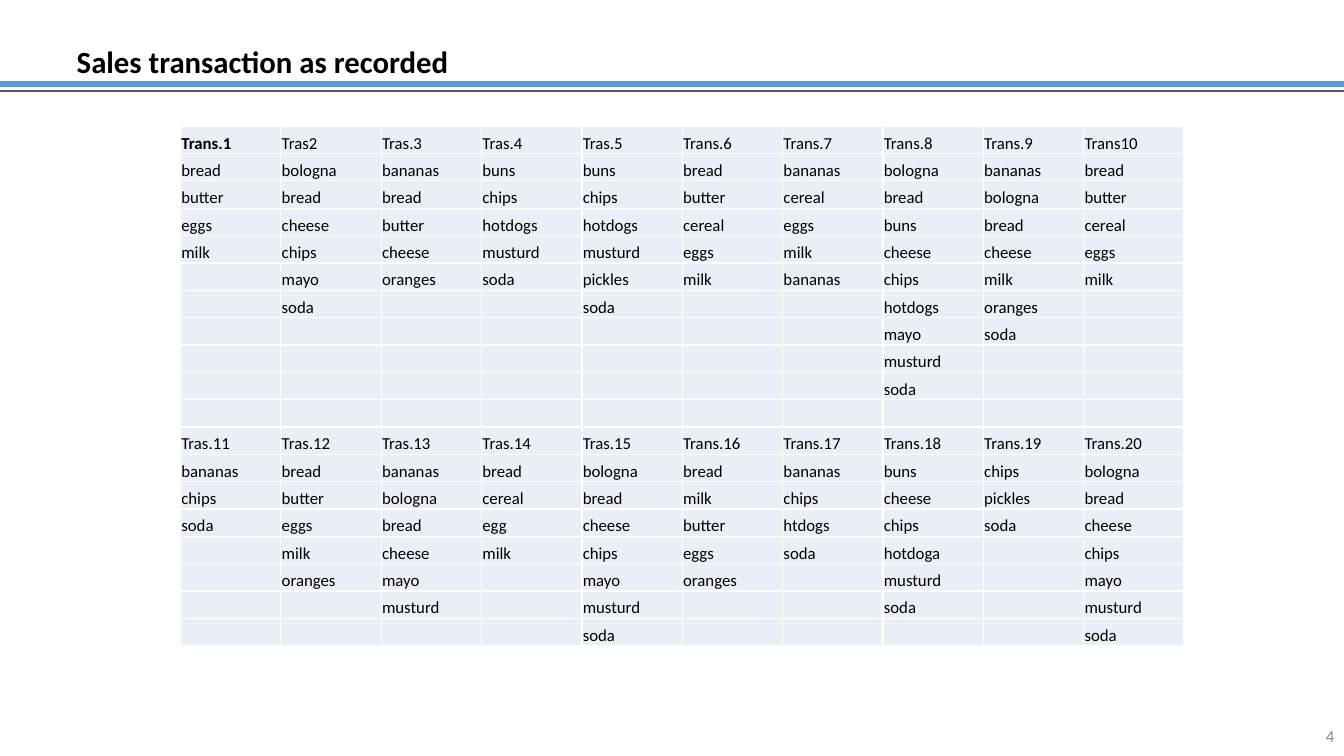
import dataclasses

import lxml.etree
import pptx
import pptx.dml.color
import pptx.enum.shapes
import pptx.enum.text
import pptx.oxml.ns
import pptx.util
from pptx.util import Cm


@dataclasses.dataclass(frozen=True)
class Theme:
    font: str = "Calibri"
    title_size: int = 22
    body_size: int = 12
    text: str = "000000"
    page_number: str = "8C8C8C"
    thick_rule: str = "5B9BD5"
    thin_rule: str = "595959"
    cell: str = "EAEFF7"
    border: str = "FFFFFF"


THEME = Theme()
RGB = pptx.dml.color.RGBColor.from_string
ALIGN = pptx.enum.text.PP_ALIGN
ANCHOR = pptx.enum.text.MSO_ANCHOR
qn = pptx.oxml.ns.qn


def write(text_frame, text, size=THEME.body_size, color=THEME.text, bold=False,
          align=ALIGN.LEFT, line_spacing=None):
    paragraph = text_frame.paragraphs[0]
    paragraph.alignment = align
    paragraph.line_spacing = line_spacing
    run = paragraph.add_run()
    run.text = text
    run.font.name = THEME.font
    run.font.size = pptx.util.Pt(size)
    run.font.bold = bold
    run.font.color.rgb = RGB(color)


def add_borders(cell, color, width):
    properties = cell._tc.get_or_add_tcPr()
    for side in ("a:lnL", "a:lnR", "a:lnT", "a:lnB"):
        line = lxml.etree.SubElement(properties, qn(side), w=str(pptx.util.Pt(width)))
        fill = lxml.etree.SubElement(line, qn("a:solidFill"))
        lxml.etree.SubElement(fill, qn("a:srgbClr"), val=color)


# Each block holds one transaction per line: its heading, then its items.
BLOCKS = [
    """Trans.1 bread butter eggs milk
    Tras2 bologna bread cheese chips mayo soda
    Tras.3 bananas bread butter cheese oranges
    Tras.4 buns chips hotdogs musturd soda
    Tras.5 buns chips hotdogs musturd pickles soda
    Trans.6 bread butter cereal eggs milk
    Trans.7 bananas cereal eggs milk bananas
    Trans.8 bologna bread buns cheese chips hotdogs mayo musturd soda
    Trans.9 bananas bologna bread cheese milk oranges soda
    Trans10 bread butter cereal eggs milk""",
    """Tras.11 bananas chips soda
    Tras.12 bread butter eggs milk oranges
    Tras.13 bananas bologna bread cheese mayo musturd
    Tras.14 bread cereal egg milk
    Tras.15 bologna bread cheese chips mayo musturd soda
    Trans.16 bread milk butter eggs oranges
    Trans.17 bananas chips htdogs soda
    Trans.18 buns cheese chips hotdoga musturd soda
    Trans.19 chips pickles soda
    Trans.20 bologna bread cheese chips mayo musturd soda""",
]
BLOCK_STARTS = [0, 11]
ROWS, COLUMNS = 19, 10
ROW_HEIGHT, COLUMN_WIDTH = Cm(0.69), Cm(2.53)

presentation = pptx.Presentation()
presentation.slide_width = Cm(33.87)
presentation.slide_height = Cm(19.05)
slide = presentation.slides.add_slide(presentation.slide_layouts[5])

# Header rules
for top, color, width in ((2.12, THEME.thick_rule, 4), (2.29, THEME.thin_rule, 1)):
    rule = slide.shapes.add_connector(
        pptx.enum.shapes.MSO_CONNECTOR.STRAIGHT,
        0, Cm(top), presentation.slide_width, Cm(top))
    rule.line.color.rgb = RGB(color)
    rule.line.width = pptx.util.Pt(width)
    lxml.etree.SubElement(rule._element.spPr, qn("a:effectLst"))

# Title
title = slide.shapes.title
title.left, title.top, title.width, title.height = Cm(1.68), Cm(0.18), Cm(25.7), Cm(1.96)
title.text_frame.auto_size = pptx.enum.text.MSO_AUTO_SIZE.NONE
title.text_frame.vertical_anchor = ANCHOR.BOTTOM
write(title.text_frame, "Sales transaction as recorded", size=THEME.title_size,
      bold=True, line_spacing=pptx.util.Pt(THEME.title_size))

# Page number
page_number = slide.shapes.add_textbox(Cm(32.18), Cm(18.03), Cm(1.7), Cm(1.02))
page_number.text_frame.word_wrap = True
page_number.text_frame.vertical_anchor = ANCHOR.MIDDLE
write(page_number.text_frame, "4", color=THEME.page_number, align=ALIGN.RIGHT)

# Transaction table
table = slide.shapes.add_table(
    ROWS, COLUMNS, Cm(4.55), Cm(3.18),
    COLUMN_WIDTH * COLUMNS, ROW_HEIGHT * ROWS).table
table.first_row = False
table.horz_banding = False
for column in table.columns:
    column.width = COLUMN_WIDTH
for row in table.rows:
    row.height = ROW_HEIGHT

for cell in table.iter_cells():
    cell.margin_left = cell.margin_right = cell.margin_top = Cm(0.02)
    cell.margin_bottom = 0
    cell.vertical_anchor = ANCHOR.BOTTOM
    add_borders(cell, THEME.border, 1)
    cell.fill.solid()
    cell.fill.fore_color.rgb = RGB(THEME.cell)
    # The end mark's size keeps empty cells from stretching their row.
    lxml.etree.SubElement(cell.text_frame.paragraphs[0]._p, qn("a:endParaRPr"),
                          sz=str(THEME.body_size * 100))

for start, block in zip(BLOCK_STARTS, BLOCKS):
    for column_index, transaction in enumerate(block.splitlines()):
        for row_index, entry in enumerate(transaction.split(), start):
            write(table.cell(row_index, column_index).text_frame, entry,
                  bold=entry == "Trans.1")

presentation.save("out.pptx")
